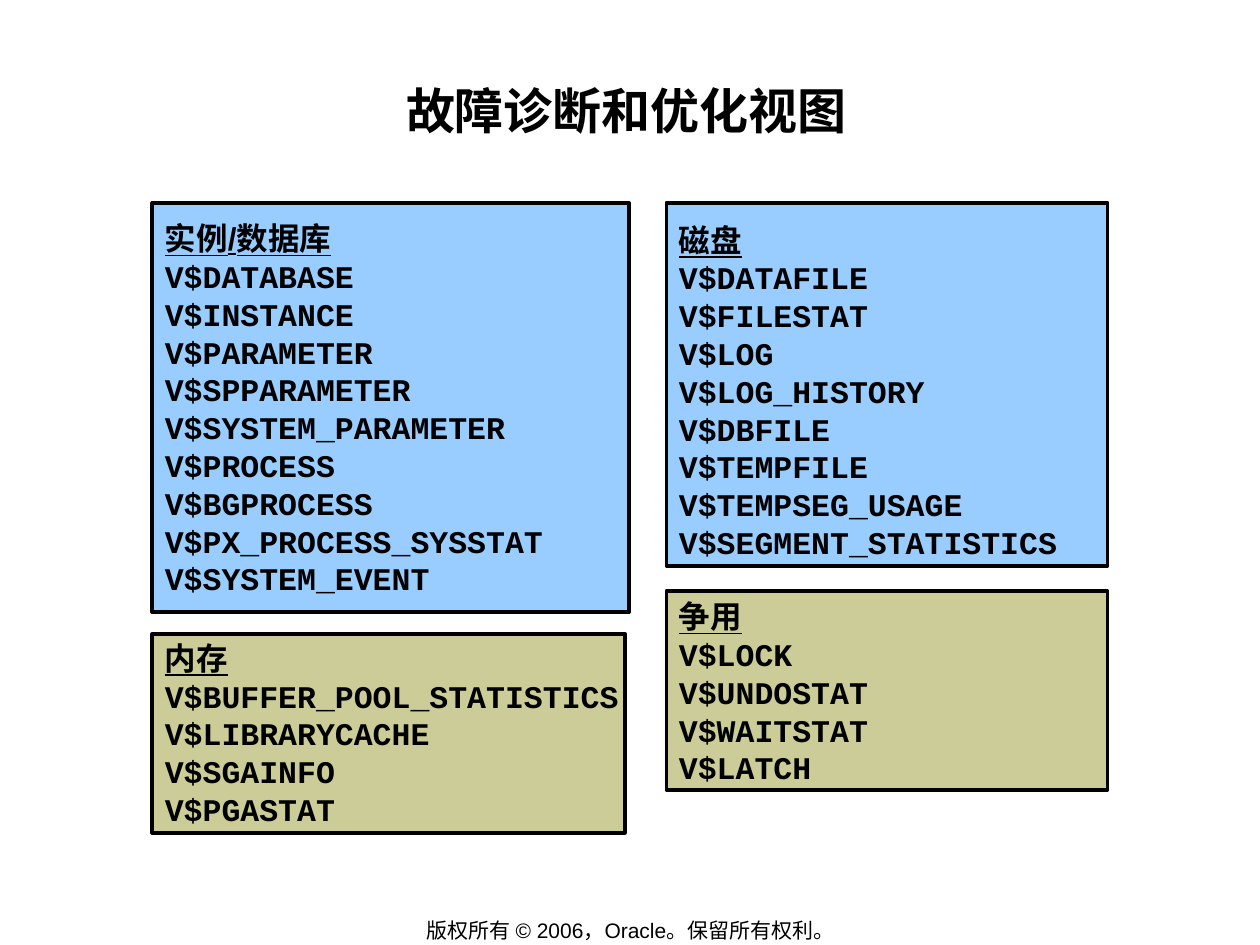
import pptx
import pptx.util
import pptx.dml.color
import pptx.enum.shapes
import pptx.enum.text

Inches, Pt = pptx.util.Inches, pptx.util.Pt
RGBColor = pptx.dml.color.RGBColor
ALIGN, ANCHOR = pptx.enum.text.PP_ALIGN, pptx.enum.text.MSO_ANCHOR

BLACK = RGBColor(0x00, 0x00, 0x00)
BLUE = RGBColor(0x99, 0xCC, 0xFF)
KHAKI = RGBColor(0xCC, 0xCC, 0x99)

# Content
TITLE = "故障诊断和优化视图"
FOOTER = "版权所有 © 2006，Oracle。保留所有权利。"
LEFT, RIGHT = 1.21, 5.29

# Heading, views, (left, top, width, height), fill, top inset
PANELS = [
    ("实例/数据库",
     ["V$DATABASE", "V$INSTANCE", "V$PARAMETER", "V$SPPARAMETER",
      "V$SYSTEM_PARAMETER", "V$PROCESS", "V$BGPROCESS",
      "V$PX_PROCESS_SYSSTAT", "V$SYSTEM_EVENT"],
     (LEFT, 1.61, 3.78, 3.25), BLUE, 0.13),
    ("磁盘",
     ["V$DATAFILE", "V$FILESTAT", "V$LOG", "V$LOG_HISTORY", "V$DBFILE",
      "V$TEMPFILE", "V$TEMPSEG_USAGE", "V$SEGMENT_STATISTICS"],
     (RIGHT, 1.61, 3.5, 2.88), BLUE, 0.14),
    ("争用",
     ["V$LOCK", "V$UNDOSTAT", "V$WAITSTAT", "V$LATCH"],
     (RIGHT, 4.69, 3.5, 1.58), KHAKI, 0.05),
    ("内存",
     ["V$BUFFER_POOL_STATISTICS", "V$LIBRARYCACHE", "V$SGAINFO", "V$PGASTAT"],
     (LEFT, 5.03, 3.75, 1.58), KHAKI, 0.04),
]


def write(para, text, size=18, face="Arial", bold=True, line=False,
          align=ALIGN.LEFT):
    para.alignment = align
    run = para.add_run()
    run.text = text
    font = run.font
    font.size, font.name = Pt(size), face
    font.bold, font.underline = bold, line
    font.color.rgb = BLACK


def set_frame(frame, left, top, right, low, anchor=ANCHOR.TOP, wrap=True):
    frame.margin_left, frame.margin_top = Inches(left), Inches(top)
    frame.margin_right, frame.margin_bottom = Inches(right), Inches(low)
    frame.vertical_anchor, frame.word_wrap = anchor, wrap


deck = pptx.Presentation()
deck.slide_width, deck.slide_height = Inches(10), Inches(7.5)
slide = deck.slides.add_slide(deck.slide_layouts[6])
shapes = slide.shapes

# Footer
foot = shapes.add_textbox(*map(Inches, (2.76, 7.28, 4.49, 0.21))).text_frame
set_frame(foot, 0.1, 0.05, 0.1, 0.05, anchor=ANCHOR.MIDDLE, wrap=False)
write(foot.paragraphs[0], FOOTER, size=12, bold=False, align=ALIGN.CENTER)

# Title
head = shapes.add_textbox(*map(Inches, (0.97, 0.58, 8, 0.96))).text_frame
set_frame(head, 0.01, 0.01, 0.01, 0.01)
head.paragraphs[0].line_spacing = 1.1
write(head.paragraphs[0], TITLE, size=28, align=ALIGN.CENTER)

# Panels of views
for name, views, place, fill, inset in PANELS:
    box = shapes.add_shape(pptx.enum.shapes.MSO_SHAPE.RECTANGLE,
                           *map(Inches, place))
    box.shadow.inherit = False
    box.fill.solid()
    box.fill.fore_color.rgb = fill
    box.line.color.rgb = BLACK
    box.line.width = Pt(2.25)
    frame = box.text_frame
    set_frame(frame, 0.1, inset, 0, 0)
    write(frame.paragraphs[0], name, line=True)
    for view in views:
        write(frame.add_paragraph(), view, face="Courier New")

deck.save("out.pptx")
